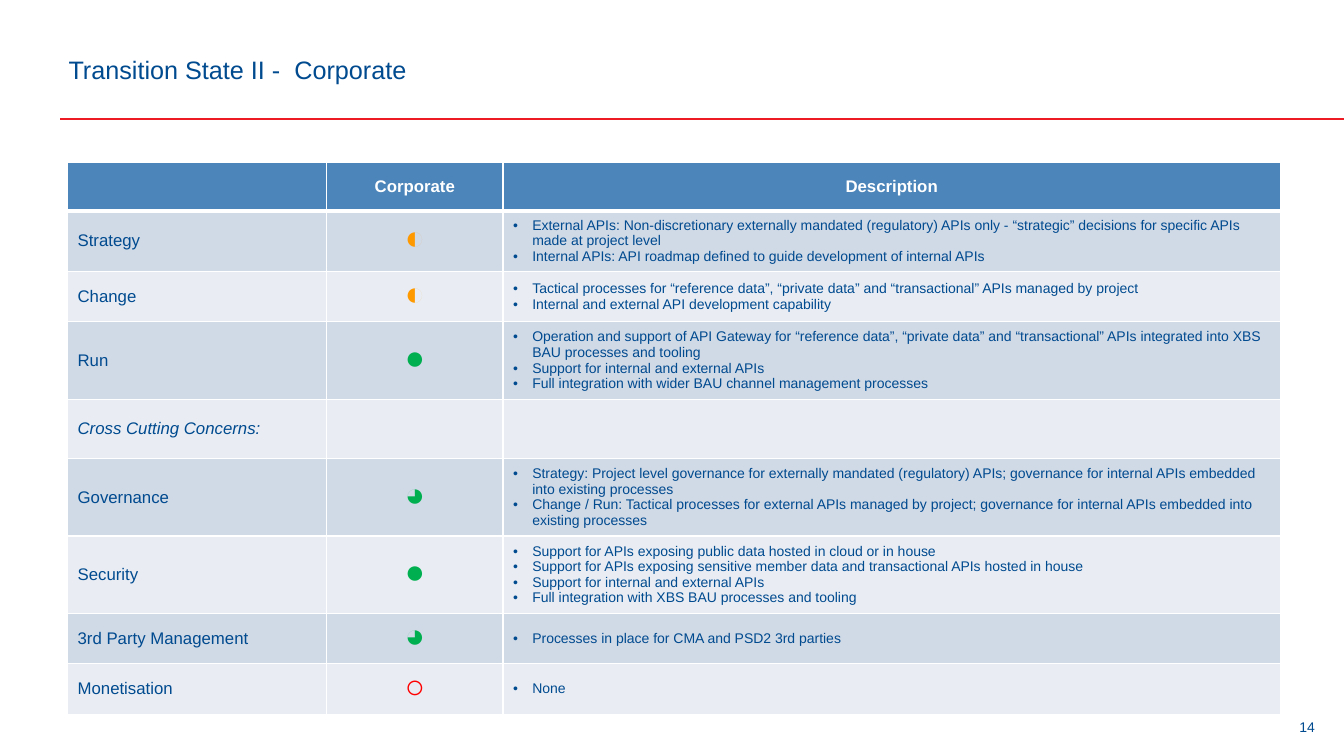
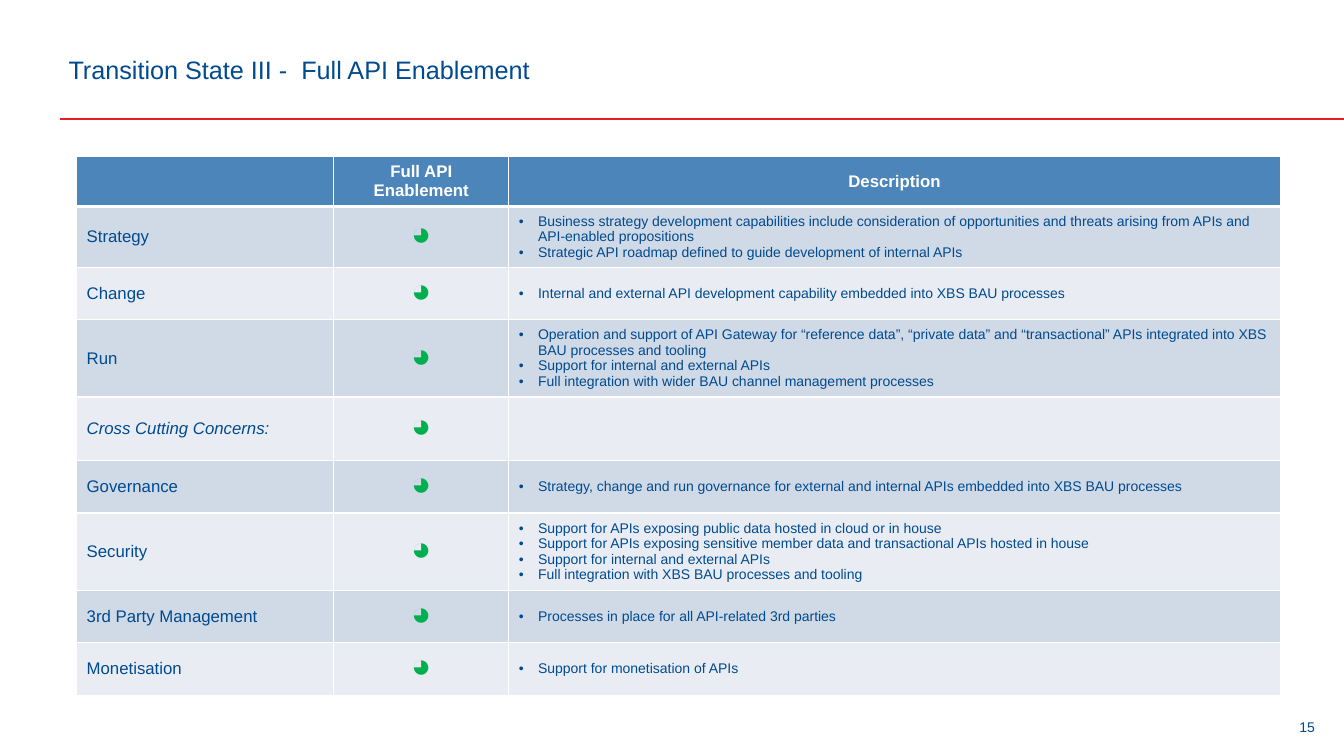
from lxml import etree
from pptx import Presentation, util as u
from pptx.dml.color import RGBColor
from pptx.enum import shapes, text
from pptx.oxml import ns

WIDE, HIGH = 13.33, 7.5
NAVY = RGBColor(0x00, 0x4A, 0x8F)
RED = RGBColor(0xED, 0x1C, 0x24)
WHITE = RGBColor(0xFF, 0xFF, 0xFF)
HEAD = RGBColor(0x4C, 0x85, 0xB9)
BANDS = RGBColor(0xD0, 0xD9, 0xE6), RGBColor(0xE9, 0xED, 0xF3)
MARKS = {
    "◐": RGBColor(0xFF, 0x99, 0x00),
    "◕": RGBColor(0x00, 0xB0, 0x50),
    "●": RGBColor(0x00, 0xB0, 0x50),
    "○": RGBColor(0xFF, 0x00, 0x00),
}
SANS, MONO = "Arial", "Courier New"
COLS = 2.57, 1.75, 7.71
GROUP = "Cross Cutting Concerns:"
LABELS = ("Strategy", "Change", "Run", GROUP, "Governance", "Security",
          "3rd Party Management", "Monetisation")

RUN = (
    "Operation and support of API Gateway for “reference data”, “private data” and "
    "“transactional” APIs integrated into XBS BAU processes and tooling",
    "Support for internal and external APIs",
    "Full integration with wider BAU channel management processes",
)
SAFE = (
    "Support for APIs exposing public data hosted in cloud or in house",
    "Support for APIs exposing sensitive member data and transactional APIs hosted in house",
    "Support for internal and external APIs",
    "Full integration with XBS BAU processes and tooling",
)
STATES = (
    {
        "page": 14,
        "title": "Transition State II -  Corporate",
        "head": "Corporate",
        "box": (0.67, 1.61, 12.03),
        "rows": (0.48, 0.57, 0.49, 0.72, 0.59, 0.72, 0.72, 0.49, 0.49),
        "marks": ("◐", "◐", "●", "", "◕", "●", "◕", "○"),
        "notes": (
            ("External APIs: Non-discretionary externally mandated (regulatory) APIs only - "
             "“strategic” decisions for specific APIs made at project level",
             "Internal APIs: API roadmap defined to guide development of internal APIs"),
            ("Tactical processes for “reference data”, “private data” and “transactional” "
             "APIs managed by project",
             "Internal and external API development capability"),
            RUN,
            (),
            ("Strategy: Project level governance for externally mandated (regulatory) APIs; "
             "governance for internal APIs embedded into existing processes",
             "Change / Run: Tactical processes for external APIs managed by project; "
             "governance for internal APIs embedded into existing processes"),
            SAFE,
            ("Processes in place for CMA and PSD2 3rd parties",),
            ("None",),
        ),
    },
    {
        "page": 15,
        "title": "Transition State III -  Full API Enablement",
        "head": "Full API Enablement",
        "box": (0.76, 1.55, 11.94),
        "rows": (0.5, 0.57, 0.52, 0.72, 0.63, 0.52, 0.72, 0.52, 0.52),
        "marks": ("◕",) * len(LABELS),
        "notes": (
            ("Business strategy development capabilities include consideration of "
             "opportunities and threats arising from APIs and API-enabled propositions",
             "Strategic API roadmap defined to guide development of internal APIs"),
            ("Internal and external API development capability embedded into XBS BAU processes",),
            RUN,
            (),
            ("Strategy, change and run governance for external and internal APIs embedded "
             "into XBS BAU processes",),
            SAFE,
            ("Processes in place for all API-related 3rd parties",),
            ("Support for monetisation of APIs",),
        ),
    },
)


def style(para, size, color, face=SANS, align=text.PP_ALIGN.LEFT, bold=False, slant=False):
    para.alignment = align
    for run in para.runs:
        font = run.font
        font.name, font.size, font.color.rgb = face, u.Pt(size), color
        font.bold, font.italic = bold, slant


def place(shape, left, top, width, height):
    shape.left, shape.top = u.Inches(left), u.Inches(top)
    shape.width, shape.height = u.Inches(width), u.Inches(height)


def child(parent, tag, **attrs):
    return etree.SubElement(parent, ns.qn(tag), attrs)


def bullet(para):
    props = para._p.get_or_add_pPr()
    props.set("marL", str(u.Inches(0.19)))
    props.set("indent", str(-u.Inches(0.19)))
    child(props, "a:buFont", typeface=SANS)
    child(props, "a:buChar", char="•")


def edge(cell, row):
    """Draw white cell borders, with a thick rule below the header row."""
    props = cell._tc.get_or_add_tcPr()
    sides = {"L": 1, "R": 1, "T": 3 if row == 1 else 1, "B": 3 if row == 0 else 1}
    for spot, (side, width) in enumerate(sides.items()):
        line = child(props, "a:ln" + side, w=str(u.Pt(width)))
        child(child(line, "a:solidFill"), "a:srgbClr", val=str(WHITE))
        props.insert(spot, line)


def paint(cell, row, color):
    cell.fill.solid()
    cell.fill.fore_color.rgb = color
    cell.vertical_anchor = text.MSO_ANCHOR.MIDDLE
    edge(cell, row)


def header(cells, names):
    for cell, name in zip(cells, names):
        paint(cell, 0, HEAD)
        cell.margin_left = cell.margin_right = u.Inches(0.07)
        cell.margin_top = cell.margin_bottom = 0
        cell.text_frame.text = name
        style(cell.text_frame.paragraphs[0], 12, WHITE, align=text.PP_ALIGN.CENTER, bold=True)


def entry(cells, row, label, mark, notes):
    for cell, words in zip(cells, (label, mark, "\n".join(notes))):
        paint(cell, row, BANDS[(row - 1) % 2])
        cell.text_frame.text = words
    name, sign, note = (cell.text_frame.paragraphs for cell in cells)
    style(name[0], 12, NAVY, slant=label == GROUP)
    if mark:
        style(sign[0], 24, MARKS[mark], MONO, text.PP_ALIGN.CENTER)
    if notes:
        for para in note:
            style(para, 10, NAVY)
            bullet(para)


def grid(slide, state):
    left, top, width = state["box"]
    rows = state["rows"]
    table = slide.shapes.add_table(
        len(rows), len(COLS), u.Inches(left), u.Inches(top),
        u.Inches(width), u.Inches(sum(rows))).table
    for col, share in zip(table.columns, COLS):
        col.width = u.Inches(width * share / sum(COLS))
    for row, height in zip(table.rows, rows):
        row.height = u.Inches(height)
    first, *rest = (list(row.cells) for row in table.rows)
    header(first, ("", state["head"], "Description"))
    items = zip(rest, LABELS, state["marks"], state["notes"])
    for num, (cells, label, mark, notes) in enumerate(items, 1):
        entry(cells, num, label, mark, notes)


def frame(slide, title, page):
    """Set the title, the red rule and the page number."""
    head = slide.shapes.title
    place(head, 0.56, 0.21, 12.11, 0.96)
    box = head.text_frame
    box.text = title
    box.auto_size = text.MSO_AUTO_SIZE.NONE
    box.vertical_anchor = text.MSO_ANCHOR.MIDDLE
    box.margin_left = box.margin_right = u.Inches(0.12)
    style(box.paragraphs[0], 18, NAVY)

    rule = slide.shapes.add_connector(
        shapes.MSO_CONNECTOR.STRAIGHT, u.Inches(0.6), u.Inches(1.18),
        u.Inches(WIDE), u.Inches(1.18))
    rule.line.color.rgb, rule.line.width = RED, u.Pt(2)
    child(rule._element.spPr, "a:effectLst")

    foot = slide.shapes.add_textbox(0, 0, 0, 0)
    place(foot, 12.7, 6.88, 0.53, 0.67)
    foot.text_frame.word_wrap = True
    foot.text_frame.vertical_anchor = text.MSO_ANCHOR.MIDDLE
    foot.text_frame.text = str(page)
    style(foot.text_frame.paragraphs[0], 10, NAVY, align=text.PP_ALIGN.CENTER)


def main():
    deck = Presentation()
    deck.slide_width, deck.slide_height = u.Inches(WIDE), u.Inches(HIGH)
    for state in STATES:
        slide = deck.slides.add_slide(deck.slide_layouts[5])
        frame(slide, state["title"], state["page"])
        grid(slide, state)
    deck.save("out.pptx")


if __name__ == "__main__":
    main()
